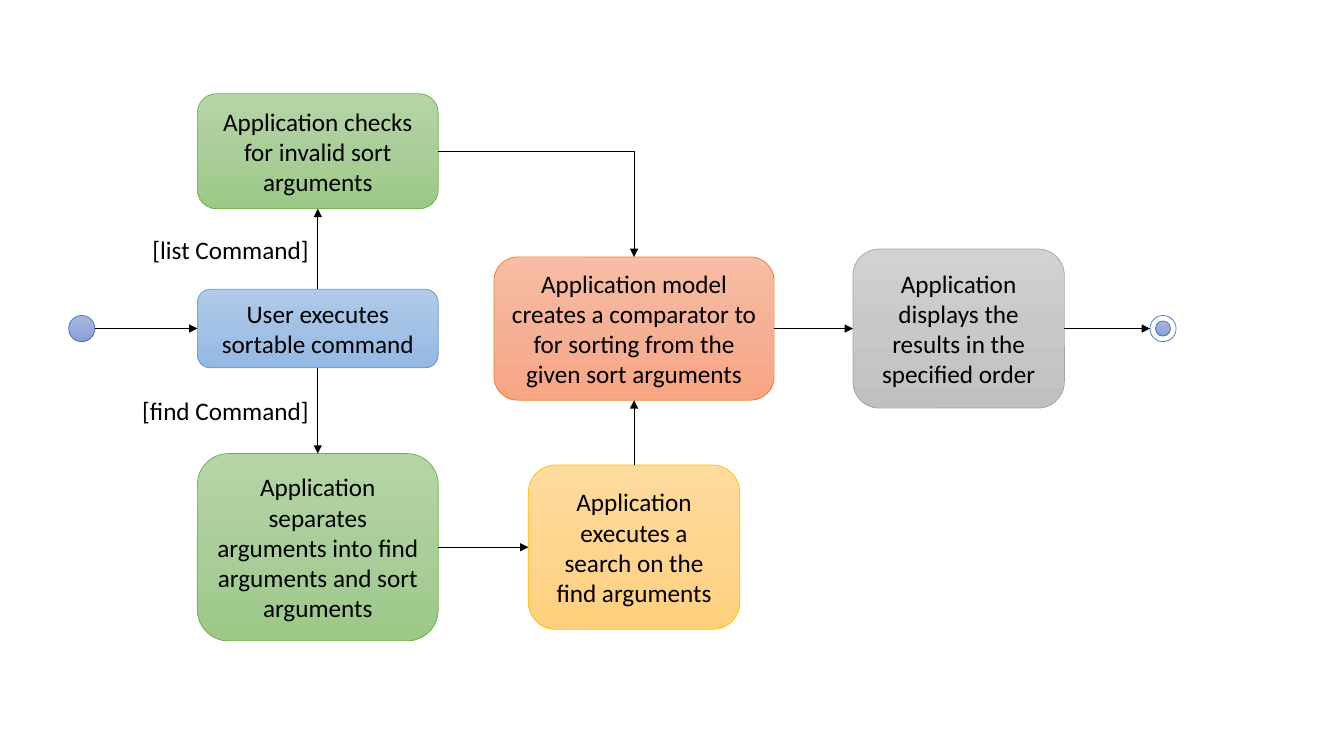
from copy import deepcopy

from lxml.etree import SubElement
from pptx import Presentation
from pptx.dml.color import RGBColor
from pptx.enum.shapes import MSO_CONNECTOR, MSO_SHAPE
from pptx.enum.text import MSO_ANCHOR, MSO_AUTO_SIZE, PP_ALIGN
from pptx.oxml.ns import qn
from pptx.util import Cm, Pt

COLORS = {
    "ink": "000000",
    "paper": "FFFFFF",
    "node": ("A8B7DF", "9AABD9", "889ED7", "4472C4"),
    "user": ("B1CBE9", "A3C1E5", "93B9E4", "5B9BD5"),
    "parsing": ("B5D5A7", "AACE9A", "9CC987", "70AD47"),
    "search": ("FFDB9E", "FFD590", "FFD07C", "FFC000"),
    "model": ("F7BDA5", "F5B196", "F8A582", "ED7D31"),
    "display": ("D2D2D2", "C8C8C8", "C0C0C0", "A5A5A5"),
}
START_X, COMMAND_X, MODEL_X, DISPLAY_X, END_X = 2.06, 8.01, 15.98, 24.16, 29.31
LIST_Y, MAIN_Y, FIND_Y = 3.81, 8.28, 13.79
NODE_SIZE, CORE_SIZE = 0.66, 0.38
TOP, LEFT, BOTTOM, RIGHT = range(4)


class ActivityDiagram:
    """Draws activity diagram elements on one slide in a shared style."""

    def __init__(self, slide):
        self.slide = slide
        self.font = "Calibri"
        self.text_size = Pt(18)
        self.line_width = Pt(0.5)

    def outline(self, shape, kind):
        shape.shadow.inherit = False
        shape.line.color.rgb = RGBColor.from_string(COLORS[kind][3])
        shape.line.width = self.line_width

    def shade(self, shape, kind):
        shape.fill.gradient()
        shape.fill.gradient_angle = 270
        stop_list = shape._element.spPr.find(qn("a:gradFill")).find(qn("a:gsLst"))
        stop_list.insert(1, deepcopy(stop_list[0]))
        for stop, position, color in zip(shape.fill.gradient_stops, (0, 0.5, 1), COLORS[kind]):
            stop.position = position
            stop.color.rgb = RGBColor.from_string(color)

    def add_text(self, frame, text, align):
        frame.word_wrap = True
        paragraph = frame.paragraphs[0]
        paragraph.alignment = align
        run = paragraph.add_run()
        run.text = text
        run.font.name = self.font
        run.font.size = self.text_size
        run.font.color.rgb = RGBColor.from_string(COLORS["ink"])

    def centered(self, shapes, preset, x, y, width, height):
        return shapes.add_shape(preset, Cm(x - width / 2), Cm(y - height / 2), Cm(width), Cm(height))

    def action(self, text, kind, x, y, width, height):
        box = self.centered(self.slide.shapes, MSO_SHAPE.ROUNDED_RECTANGLE, x, y, width, height)
        self.shade(box, kind)
        self.outline(box, kind)
        box.text_frame.vertical_anchor = MSO_ANCHOR.MIDDLE
        self.add_text(box.text_frame, text, PP_ALIGN.CENTER)
        return box

    def node(self, shapes, x, y, size, solid=None):
        circle = self.centered(shapes, MSO_SHAPE.OVAL, x, y, size, size)
        if solid:
            circle.fill.solid()
            circle.fill.fore_color.rgb = RGBColor.from_string(COLORS[solid])
        else:
            self.shade(circle, "node")
        self.outline(circle, "node")

    def start_node(self, x, y):
        self.node(self.slide.shapes, x, y, NODE_SIZE)

    def final_node(self, x, y):
        ring = self.slide.shapes.add_group_shape().shapes
        self.node(ring, x, y, NODE_SIZE, "paper")
        self.node(ring, x, y, CORE_SIZE)

    def guard(self, text, top):
        label = self.slide.shapes.add_textbox(Cm(2.54), Cm(top), Cm(5.49), Cm(1.02))
        label.text_frame.auto_size = MSO_AUTO_SIZE.SHAPE_TO_FIT_TEXT
        self.add_text(label.text_frame, text, PP_ALIGN.RIGHT)

    def flow(self, source, target, bent=False):
        """Joins (box, side) ends, or free (x, y) points in centimetres."""
        kind = MSO_CONNECTOR.ELBOW if bent else MSO_CONNECTOR.STRAIGHT
        arrow = self.slide.shapes.add_connector(kind, 0, 0, 0, 0)
        if hasattr(source[0], "shape_id"):
            arrow.begin_connect(*source)
        else:
            arrow.begin_x, arrow.begin_y = map(Cm, source)
        if hasattr(target[0], "shape_id"):
            arrow.end_connect(*target)
        else:
            arrow.end_x, arrow.end_y = map(Cm, target)
        arrow.line.color.rgb = RGBColor.from_string(COLORS["ink"])
        arrow.line.width = self.line_width
        properties = arrow._element.spPr
        if bent:
            properties.find(qn("a:prstGeom")).set("prst", "bentConnector2")
        SubElement(properties.find(qn("a:ln")), qn("a:tailEnd"), type="triangle")
        SubElement(properties, qn("a:effectLst"))


def main():
    deck = Presentation()
    deck.slide_width, deck.slide_height = Cm(33.87), Cm(19.05)
    diagram = ActivityDiagram(deck.slides.add_slide(deck.slide_layouts[6]))

    diagram.start_node(START_X, MAIN_Y)
    command = diagram.action("User executes sortable command", "user", COMMAND_X, MAIN_Y, 6.07, 1.98)
    separate = diagram.action(
        "Application separates arguments into find arguments and sort arguments",
        "parsing", COMMAND_X, FIND_Y, 6.07, 4.72)
    check = diagram.action(
        "Application checks for invalid sort arguments", "parsing", COMMAND_X, LIST_Y, 6.07, 2.9)
    search = diagram.action(
        "Application executes a search on the find arguments", "search", MODEL_X, FIND_Y, 5.33, 4.14)
    model = diagram.action(
        "Application model creates a comparator to for sorting from the given sort arguments",
        "model", MODEL_X, MAIN_Y, 7.06, 3.61)
    display = diagram.action(
        "Application displays the results in the specified order",
        "display", DISPLAY_X, MAIN_Y, 5.33, 4.01)
    diagram.final_node(END_X, MAIN_Y)

    diagram.guard("[list Command]", 5.79)
    diagram.guard("[find Command]", 9.83)

    diagram.flow((START_X + NODE_SIZE / 2, MAIN_Y), (command, LEFT))
    diagram.flow((command, TOP), (check, BOTTOM))
    diagram.flow((command, BOTTOM), (separate, TOP))
    diagram.flow((separate, RIGHT), (search, LEFT))
    diagram.flow((check, RIGHT), (model, TOP), bent=True)
    diagram.flow((search, TOP), (model, BOTTOM))
    diagram.flow((model, RIGHT), (display, LEFT))
    diagram.flow((display, RIGHT), (END_X - NODE_SIZE / 2, MAIN_Y))

    deck.save("out.pptx")


if __name__ == "__main__":
    main()
